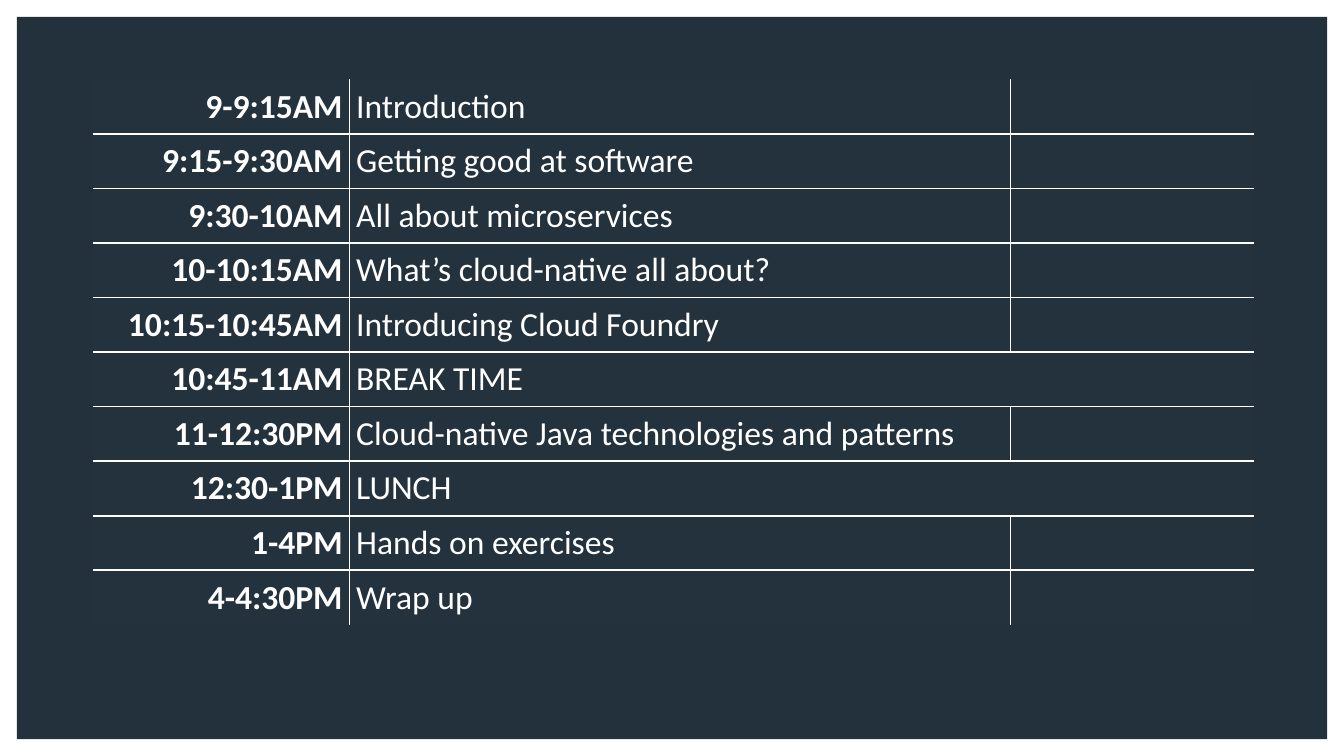
from lxml import etree
from pptx import Presentation
from pptx.dml.color import RGBColor
from pptx.enum.shapes import MSO_SHAPE
from pptx.enum.text import MSO_ANCHOR, PP_ALIGN
from pptx.oxml.ns import qn
from pptx.util import Inches, Pt

WHITE = RGBColor(0xFF, 0xFF, 0xFF)
PANEL_NAVY = RGBColor(0x22, 0x31, 0x3C)
CELL_NAVY = RGBColor(0x23, 0x32, 0x3D)

AGENDA = [
    ("9-9:15AM", "Introduction"),
    ("9:15-9:30AM", "Getting good at software"),
    ("9:30-10AM", "All about microservices"),
    ("10-10:15AM", "What’s cloud-native all about?"),
    ("10:15-10:45AM", "Introducing Cloud Foundry"),
    ("10:45-11AM", "BREAK TIME"),
    ("11-12:30PM", "Cloud-native Java technologies and patterns"),
    ("12:30-1PM", "LUNCH"),
    ("1-4PM", "Hands on exercises"),
    ("4-4:30PM", "Wrap up"),
]
BREAKS = {"BREAK TIME", "LUNCH"}
COLUMN_WIDTHS = [1.91, 4.92, 1.81]


def set_border(cell, side, visible):
    properties = cell._tc.get_or_add_tcPr()
    line = etree.SubElement(properties, qn(f"a:ln{side}"), w=str(Pt(1)))
    if visible:
        fill = etree.SubElement(line, qn("a:solidFill"))
        etree.SubElement(fill, qn("a:srgbClr"), val=str(WHITE))
    else:
        etree.SubElement(line, qn("a:noFill"))


presentation = Presentation()
presentation.slide_width = Inches(10)
presentation.slide_height = Inches(10) * 9 // 16
slide = presentation.slides.add_slide(presentation.slide_layouts[6])

panel_width = Inches(9.75)
panel_margin = (presentation.slide_width - panel_width) // 2
panel = slide.shapes.add_shape(
    MSO_SHAPE.RECTANGLE, panel_margin, panel_margin,
    panel_width, presentation.slide_height - 2 * panel_margin,
)
panel.shadow.inherit = False
panel.fill.solid()
panel.fill.fore_color.rgb = PANEL_NAVY
panel.line.fill.background()

table_frame = slide.shapes.add_table(
    len(AGENDA), len(COLUMN_WIDTHS),
    Inches(0.69), Inches(0.59), Inches(8.64), Inches(4.06),
)
table_frame.height = Inches(4.35)
table = table_frame.table
table.first_row = False
table.horz_banding = False
for column, width in zip(table.columns, COLUMN_WIDTHS):
    column.width = Inches(width)

last_row = len(AGENDA) - 1
for row_index, (time, session) in enumerate(AGENDA):
    is_break = session in BREAKS
    for column_index, text in enumerate((time, session, "")):
        cell = table.cell(row_index, column_index)
        borders = {
            "L": column_index == 1 or (column_index == 2 and not is_break),
            "R": column_index == 0 or (column_index == 1 and not is_break),
            "T": row_index > 0,
            "B": row_index < last_row,
        }
        for side, visible in borders.items():
            set_border(cell, side, visible)
        cell.fill.solid()
        cell.fill.fore_color.rgb = CELL_NAVY
        cell.vertical_anchor = MSO_ANCHOR.MIDDLE
        for margin in ("left", "right", "top", "bottom"):
            setattr(cell, f"margin_{margin}", Inches(0.05))
        if text:
            paragraph = cell.text_frame.paragraphs[0]
            paragraph.alignment = PP_ALIGN.RIGHT if column_index == 0 else PP_ALIGN.LEFT
            run = paragraph.add_run()
            run.text = text
            run.font.color.rgb = WHITE
            font_format = {"name": "Calibri", "size": Pt(18), "bold": column_index == 0}
            for attribute, value in font_format.items():
                setattr(run.font, attribute, value)
    if is_break:
        table.cell(row_index, 1).merge(table.cell(row_index, 2))

presentation.save("out.pptx")
